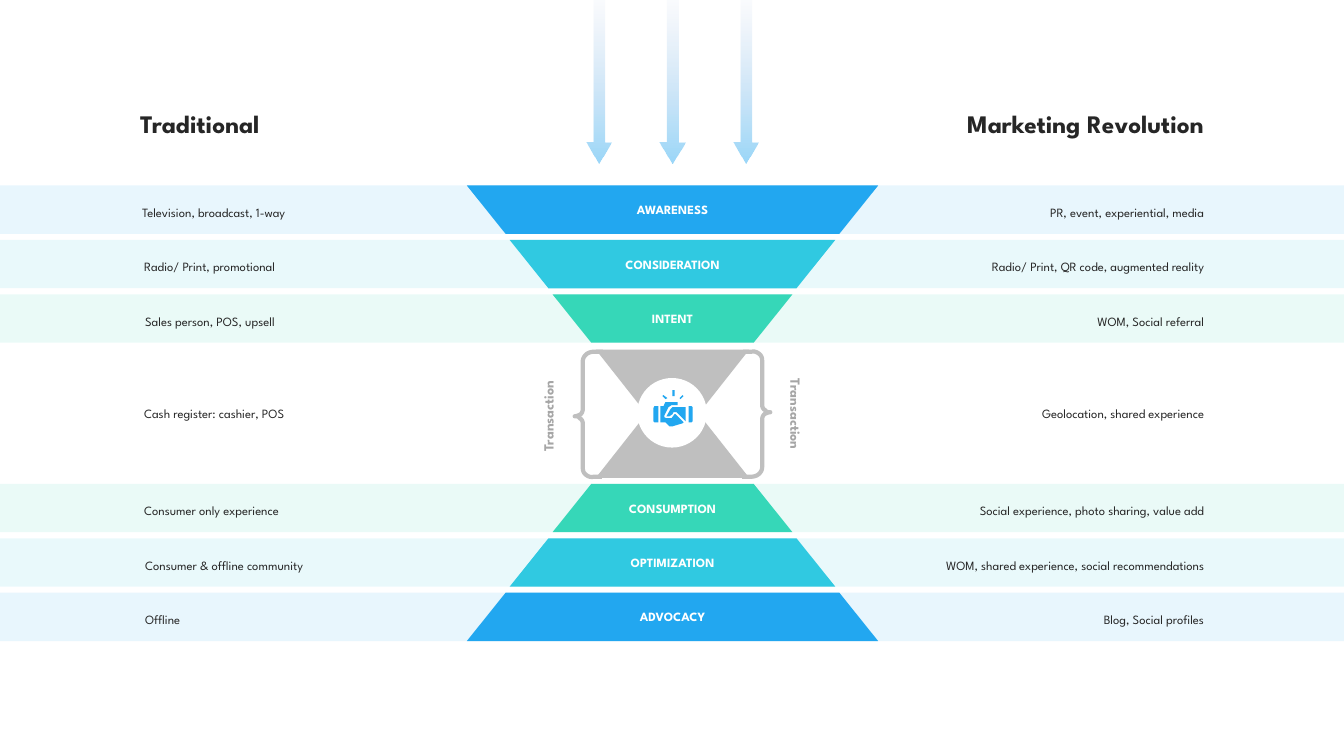
"""Build the marketing funnel slide comparing traditional and new marketing."""
import pptx
import pptx.util
import pptx.dml.color
import pptx.enum.shapes
import pptx.enum.text
import pptx.oxml.ns
from lxml import etree

COLORS = {
    "blue": "22A7F0", "cyan": "30C9E1", "green": "36D7B8", "gray": "BFBFBF",
    "white": "FFFFFF", "ink": "262626", "muted": "A6A6A6",
    "arrow_start": "C7D5ED", "arrow_end": "9BD7F9",
}
STAGES = [
    ("AWARENESS", "blue", "Television, broadcast, 1-way", 1.38, "PR, event, experiential, media"),
    ("CONSIDERATION", "cyan", "Radio/ Print, promotional", 1.4,
     "Radio/ Print, QR code, augmented reality"),
    ("INTENT", "green", "Sales person, POS, upsell", 1.41, "WOM, Social referral"),
    ("CONSUMPTION", "green", "Consumer only experience", 1.4,
     "Social experience, photo sharing, value add"),
    ("OPTIMIZATION", "cyan", "Consumer & offline community", 1.41,
     "WOM, shared experience, social recommendations"),
    ("ADVOCACY", "blue", "Offline", 1.41, "Blog, Social profiles"),
]
TRANSACTION = ("Transaction", "Cash register: cashier, POS", "Geolocation, shared experience")
HEADINGS = {1: ("Traditional", 1.36, 1.48, "left"), 3: ("Marketing Revolution", 9.16, 2.81, "right")}
FORMATS = {
    "heading": ({"size": pptx.util.Pt(18), "bold": True}, "ink"),
    "stage": ({"size": pptx.util.Pt(9), "bold": True}, "white"),
    "channel": ({"size": pptx.util.Pt(9), "bold": False}, "ink"),
    "transaction": ({"size": pptx.util.Pt(10), "bold": True}, "muted"),
}
ALIGN = {"left": pptx.enum.text.PP_ALIGN.LEFT, "center": pptx.enum.text.PP_ALIGN.CENTER,
         "right": pptx.enum.text.PP_ALIGN.RIGHT}
BRACE = [
    [(7.37, 3.49)], [(7.45, 3.49)],
    [(7.49, 3.48), (7.52, 3.5), (7.54, 3.52)], [(7.56, 3.54), (7.56, 3.57), (7.56, 3.59)],
    [(7.56, 4.02)], [(7.56, 4.04), (7.57, 4.06), (7.59, 4.07)],
    [(7.6, 4.09), (7.62, 4.09), (7.64, 4.09)], [(7.62, 4.09), (7.6, 4.1), (7.58, 4.11)],
    [(7.57, 4.12), (7.56, 4.14), (7.56, 4.16)], [(7.56, 4.63)],
    [(7.56, 4.66), (7.55, 4.68), (7.53, 4.7)], [(7.51, 4.72), (7.48, 4.73), (7.45, 4.73)],
    [(7.36, 4.73)],
]
HANDSHAKE = [
    [(6.67, 3.87), (6.69, 3.87), (6.69, 3.93), (6.67, 3.93)],
    [(6.77, 3.92), (6.78, 3.93), (6.75, 3.96), (6.74, 3.95)],
    [(6.58, 3.92), (6.57, 3.93), (6.6, 3.96), (6.62, 3.95)],
    [(6.62, 3.99), (6.6, 3.99), (6.58, 4.03), (6.55, 4.03), (6.55, 4.19), (6.6, 4.19),
     (6.64, 4.23), (6.67, 4.23), (6.77, 4.2), (6.78, 4.19), (6.7, 4.11), (6.69, 4.11),
     (6.66, 4.15), (6.61, 4.15), (6.59, 4.14), (6.59, 4.12), (6.63, 4.04), (6.66, 4.02),
     (6.72, 4.02), (6.72, 3.99)],
    [(6.53, 4.03), (6.49, 4.03), (6.48, 4.05), (6.48, 4.18), (6.49, 4.19), (6.53, 4.19)],
    [(6.83, 4.03), (6.86, 4.03), (6.87, 4.04), (6.87, 4.18), (6.86, 4.19), (6.83, 4.19)],
    [(6.67, 4.04), (6.65, 4.06), (6.61, 4.13), (6.64, 4.13), (6.67, 4.11), (6.68, 4.09),
     (6.71, 4.09), (6.8, 4.18), (6.8, 4.04)],
]
CENTER, MIDDLE = 6.67, 4.11
BAND_HEIGHT, BAND_PITCH, FIRST_BAND, LAST_BAND = 0.48, 0.54, 1.84, 5.88
RIGHT_EDGE, CHANNEL_WIDTH = 11.97, 3.25
ARROW_LENGTH, ARROW_WIDTH, ARROW_PITCH, ARROW_MIDDLE = 1.76, 0.25, 0.73, 0.74


def box(*lengths):
    return [pptx.util.Inches(length) for length in lengths]


def rgb(name):
    return pptx.dml.color.RGBColor.from_string(COLORS[name])


def set_alpha(color, percent):
    etree.SubElement(color, pptx.oxml.ns.qn("a:alpha"), val=str(percent * 1000))


def paint(shape, color):
    shape.shadow.inherit = False
    shape.line.fill.background()
    shape.fill.solid()
    shape.fill.fore_color.rgb = rgb(color)
    return shape


def write(holder, text, style, align):
    frame = holder.text_frame
    margins = dict.fromkeys(("margin_left", "margin_right", "margin_top", "margin_bottom"),
                            pptx.util.Inches(0.03))
    settings = {"word_wrap": True, "auto_size": pptx.enum.text.MSO_AUTO_SIZE.SHAPE_TO_FIT_TEXT}
    for name, value in {**margins, **settings}.items():
        setattr(frame, name, value)
    paragraph = frame.paragraphs[0]
    paragraph.text = text
    layout = {"alignment": ALIGN[align], "line_spacing": 1.2, "space_before": pptx.util.Pt(0)}
    for name, value in layout.items():
        setattr(paragraph, name, value)
    font_values, color = FORMATS[style]
    font = paragraph.runs[0].font
    for name, value in {**font_values, "name": "League Spartan"}.items():
        setattr(font, name, value)
    font.color.rgb = rgb(color)


def label(slide, place, text, style, align, rotation=0):
    caption = slide.shapes.add_textbox(*box(*place))
    write(caption, text, style, align)
    caption.rotation = rotation


def outline(slide, contours, close=True):
    builder = None
    for contour in contours:
        start, *rest = [box(*point) for point in contour]
        if builder is None:
            builder = slide.shapes.build_freeform(*start)
        else:
            builder.move_to(*start)
        builder.add_line_segments(rest, close=close)
    return builder.convert_to_shape()


def trapezoid(slide, wide_y, narrow_y, wide, narrow, color):
    corners = [(CENTER - wide, wide_y), (CENTER + wide, wide_y),
               (CENTER + narrow, narrow_y), (CENTER - narrow, narrow_y)]
    paint(outline(slide, [corners]), color)


def flatten(segments, steps=6):
    points = list(segments[0])
    for segment in segments[1:]:
        if len(segment) == 1:
            points += segment
            continue
        knots = [points[-1], *segment]
        for step in range(1, steps + 1):
            t = step / steps
            weights = ((1 - t) ** 3, 3 * t * (1 - t) ** 2, 3 * t * t * (1 - t), t ** 3)
            points.append(tuple(sum(w * knot[axis] for w, knot in zip(weights, knots))
                                for axis in (0, 1)))
    return points


def add_headings(slide):
    for holder in list(slide.placeholders):
        index = holder.placeholder_format.idx
        if index not in HEADINGS:
            holder.element.getparent().remove(holder.element)
            continue
        text, left, width, align = HEADINGS[index]
        holder.left, holder.top, holder.width, holder.height = box(left, 1, width, 0.38)
        write(holder, text, "heading", align)
        holder.text_frame.vertical_anchor = pptx.enum.text.MSO_ANCHOR.MIDDLE


def add_channels(slide, top, left, traditional, revolution):
    label(slide, (left, top, 2.13, 0.22), traditional, "channel", "left")
    label(slide, (RIGHT_EDGE - CHANNEL_WIDTH, top, CHANNEL_WIDTH, 0.22),
          revolution, "channel", "right")


def add_stages(slide):
    for index, (stage, color, traditional, left, revolution) in enumerate(STAGES):
        upper = index < len(STAGES) / 2
        depth = index if upper else len(STAGES) - 1 - index
        top = FIRST_BAND + BAND_PITCH * depth if upper else LAST_BAND - BAND_PITCH * depth
        edges = (top, top + BAND_HEIGHT) if upper else (top + BAND_HEIGHT, top)
        band = paint(slide.shapes.add_shape(
            pptx.enum.shapes.MSO_SHAPE.RECTANGLE, *box(0, top, 13.33, BAND_HEIGHT)), color)
        set_alpha(band.element.spPr.find(".//" + pptx.oxml.ns.qn("a:srgbClr")), 10)
        wide = 2.04 - 0.425 * depth
        trapezoid(slide, *edges, wide, wide - 0.385, color)
        label(slide, (CENTER - 0.68, top + 0.105, 1.36, 0.22), stage, "stage", "center")
        add_channels(slide, top + 0.13, left, traditional, revolution)


def add_arrows(slide):
    for offset in (-ARROW_PITCH, 0, ARROW_PITCH):
        arrow = slide.shapes.add_shape(
            pptx.enum.shapes.MSO_SHAPE.RIGHT_ARROW,
            *box(CENTER + offset - ARROW_LENGTH / 2, ARROW_MIDDLE - ARROW_WIDTH / 2,
                 ARROW_LENGTH, ARROW_WIDTH))
        arrow.rotation = 90
        arrow.adjustments[0], arrow.adjustments[1] = 0.44, 0.86
        arrow.shadow.inherit = False
        arrow.line.fill.background()
        arrow.fill.gradient()
        arrow.fill.gradient_angle = 0
        for stop, color in zip(arrow.fill.gradient_stops, ("arrow_start", "arrow_end")):
            stop.color.rgb = rgb(color)
        set_alpha(arrow.element.spPr.find(".//" + pptx.oxml.ns.qn("a:srgbClr")), 0)


def add_transaction(slide):
    caption, traditional, revolution = TRANSACTION
    trapezoid(slide, 3.47, 4.11, 0.76, 0.255, "gray")
    trapezoid(slide, 4.74, 4.1, 0.76, 0.255, "gray")
    right_brace = flatten(BRACE)
    left_brace = [(2 * CENTER - x, 2 * MIDDLE - y) for x, y in right_brace]
    for points in (right_brace, left_brace):
        brace = outline(slide, [points], close=False)
        brace.shadow.inherit = False
        brace.fill.background()
        brace.line.color.rgb = rgb("gray")
        brace.line.width = pptx.util.Pt(3)
    paint(slide.shapes.add_shape(
        pptx.enum.shapes.MSO_SHAPE.OVAL, *box(6.32, 3.75, 0.69, 0.69)), "white")
    paint(outline(slide, HANDSHAKE), "blue")
    for left, top, rotation in ((7.29, 3.99, 90), (4.78, 4.01, 270)):
        label(slide, (left, top, 1.26, 0.24), caption, "transaction", "center", rotation)
    add_channels(slide, 3.97, 1.4, traditional, revolution)


def main():
    deck = pptx.Presentation()
    deck.slide_width, deck.slide_height = box(13.33, 7.5)
    slide = deck.slides.add_slide(deck.slide_layouts.get_by_name("Comparison"))
    add_headings(slide)
    add_stages(slide)
    add_arrows(slide)
    add_transaction(slide)
    deck.save("out.pptx")


if __name__ == "__main__":
    main()
